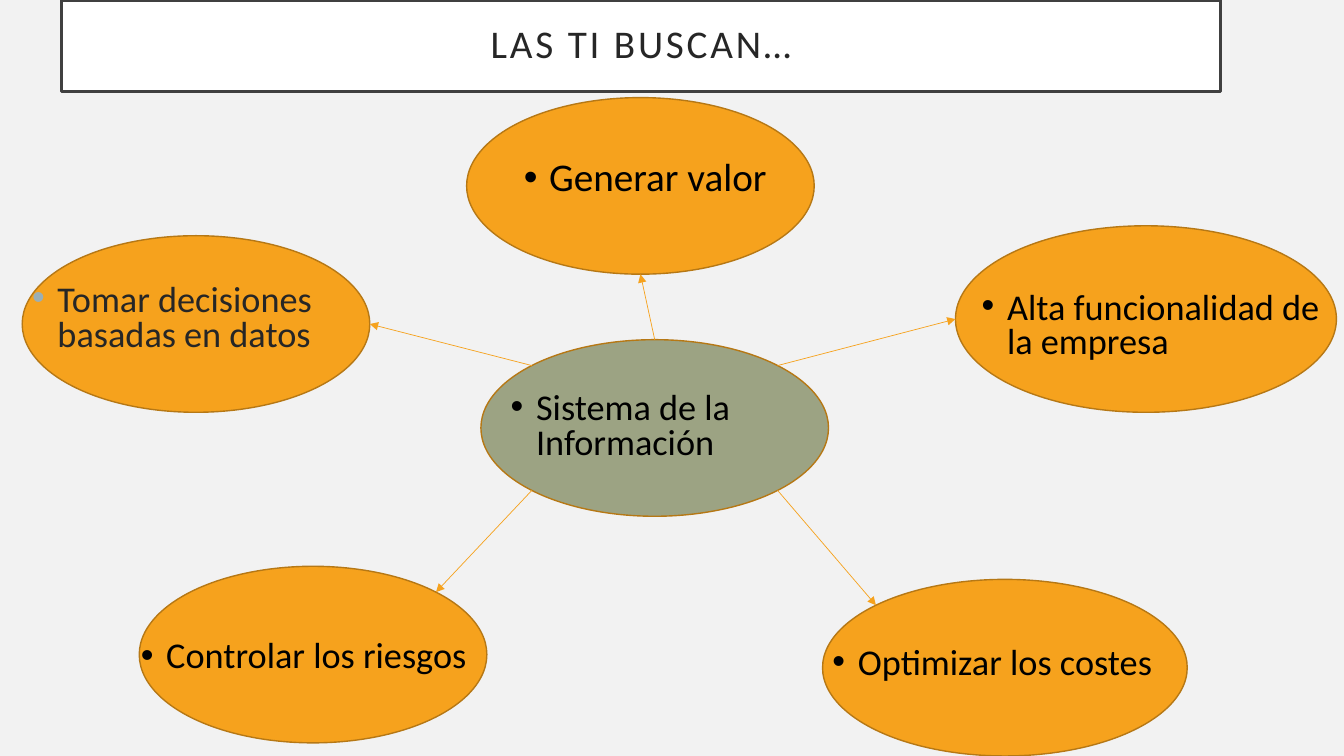
import math
from lxml import etree
from pptx import Presentation, util as u
from pptx.dml.color import RGBColor
from pptx.enum import shapes, text
from pptx.oxml.ns import qn


def tint(code):
    return RGBColor.from_string(code)


class Board:
    face, amber, edge, ink = "Calibri", "F6A21D", "B67815", "262626"

    def __init__(self, deck):
        self.slide = deck.slides.add_slide(deck.slide_layouts[6])
        fill = self.slide.background.fill
        fill.solid()
        fill.fore_color.rgb = tint("F2F2F2")

    def shape(self, kind, box, fill, line, width):
        item = self.slide.shapes.add_shape(kind, *map(u.Cm, box))
        item.shadow.inherit = False
        item.fill.solid()
        item.fill.fore_color.rgb = tint(fill)
        item.line.color.rgb = tint(line)
        item.line.width = u.Pt(width)
        return item

    def style(self, para, size, color, space):
        para.font.name = self.face
        para.font.size = u.Pt(size)
        para.font.color.rgb = tint(color)
        para.line_spacing = space

    def title(self, words, box):
        item = self.shape(shapes.MSO_SHAPE.RECTANGLE, box, "FFFFFF", "404040", 2.5)
        frame = item.text_frame
        frame.word_wrap = True
        frame.vertical_anchor = text.MSO_ANCHOR.MIDDLE
        para = frame.paragraphs[0]
        para.alignment = text.PP_ALIGN.CENTER
        run = para.add_run()
        run.text = words
        self.style(para, 28, self.ink, 0.9)
        run._r.get_or_add_rPr().set("spc", "200")

    def oval(self, box, fill):
        self.shape(shapes.MSO_SHAPE.OVAL, box, fill, self.edge, 1)

    def label(self, words, spot, size=25.9, space=0.8, color="000000", dot="000000"):
        item = self.slide.shapes.add_textbox(*map(u.Cm, (*spot, 9.19, 2.13)))
        frame = item.text_frame
        frame.word_wrap = True
        para = frame.paragraphs[0]
        para.text = words
        # Bullet with hanging indent
        props = para._p.get_or_add_pPr()
        props.set("marL", str(u.Cm(0.64)))
        props.set("indent", str(-u.Cm(0.64)))
        shade = etree.SubElement(props, qn("a:buClr"))
        etree.SubElement(shade, qn("a:srgbClr"), val=dot)
        etree.SubElement(props, qn("a:buFont"), typeface="Arial")
        etree.SubElement(props, qn("a:buChar"), char="•")
        para.space_before = u.Pt(10)
        self.style(para, size, color, space)

    def arrow(self, start, end):
        item = self.slide.shapes.add_connector(
            shapes.MSO_CONNECTOR.STRAIGHT, *map(u.Cm, (*start, *end)))
        item.line.color.rgb = tint(self.amber)
        item.line.width = u.Pt(0.5)
        etree.SubElement(item.line._get_or_add_ln(), qn("a:tailEnd"), type="triangle")
        etree.SubElement(item._element.spPr, qn("a:effectLst"))


def rim(box, angle):
    """Point on an oval's edge, in degrees clockwise from the right."""
    left, top, wide, high = box
    turn = math.radians(angle)
    return (left + wide / 2 * (1 + math.cos(turn)),
            top + high / 2 * (1 + math.sin(turn)))


deck = Presentation()
deck.slide_width, deck.slide_height = u.Cm(33.87), u.Cm(19.05)
board = Board(deck)

# Outer goals: oval, words, text spot, text style, hub angle, goal angle
wide, high = 8.76, 4.45
goals = [
    ((3.51, 14.27, wide, high), "Controlar los riesgos", (3.3, 15.93),
     {"space": 0.9}, 135, 315),
    ((20.73, 14.6, 9.19, high), "Optimizar los costes", (20.73, 16.1),
     {"space": 0.9}, 45, 225),
    ((24.08, 5.69, 9.6, 4.7), "Alta funcionalidad de la empresa", (24.49, 7.24),
     {}, 315, 180),
    ((11.76, 2.46, wide, high), "Generar valor", (12.95, 3.86),
     {"size": 28, "space": 0.9}, 270, 90),
    ((0.56, 5.94, wide, high), "Tomar decisiones basadas en datos", (0.56, 7.04),
     {"color": board.ink, "dot": "9BAFB5"}, 225, 0),
]
hub = (12.12, 8.56, wide, high)

# Title and central system
board.title("LAS TI BUSCAN…", (1.55, 0, 29.21, 2.31))
board.oval(hub, "9CA383")
board.label("Sistema de la Información", (12.62, 9.78))

# Goals, each reached by an arrow from the hub
for box, words, spot, look, leave, reach in goals:
    board.oval(box, board.amber)
    board.label(words, spot, **look)
    board.arrow(rim(hub, leave), rim(box, reach))

deck.save("out.pptx")
